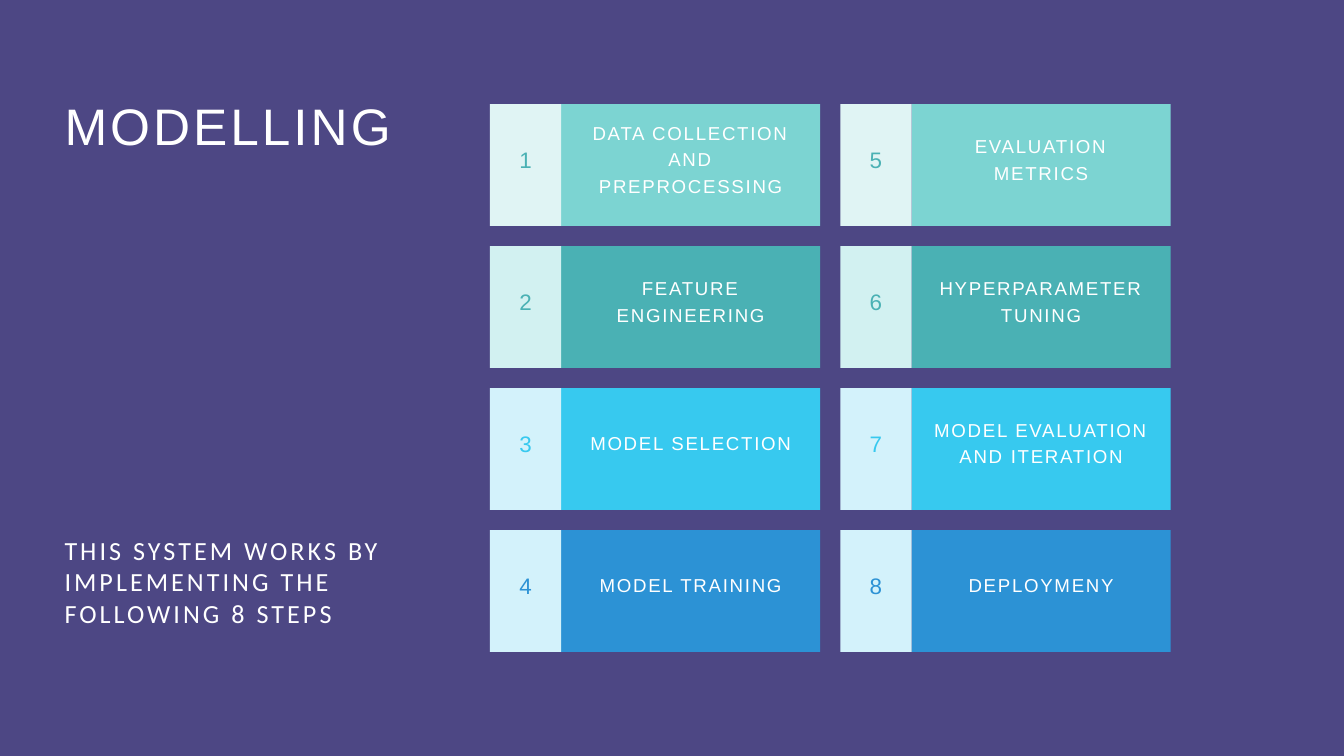
import pptx
import pptx.util
import pptx.dml.color
import pptx.enum.shapes
import pptx.enum.text
import pptx.oxml.ns
import lxml.etree

Inches = pptx.util.Inches
Pt = pptx.util.Pt
ALIGN = pptx.enum.text.PP_ALIGN
ANCHOR = pptx.enum.text.MSO_ANCHOR

STEPS = [
    "DATA COLLECTION AND PREPROCESSING",
    "FEATURE ENGINEERING",
    "MODEL SELECTION",
    "MODEL TRAINING",
    "EVALUATION METRICS",
    "HYPERPARAMETER TUNING",
    "MODEL EVALUATION AND ITERATION",
    "DEPLOYMENY",
]
ROW_COLORS = [
    {"label": "7CD4D2", "badge": "E0F4F4", "number": "4AB1B4"},
    {"label": "4AB1B4", "badge": "D2F1F1", "number": "4AB1B4"},
    {"label": "37C9EF", "badge": "D3F2FB", "number": "37C9EF"},
    {"label": "2C92D5", "badge": "D3F2FB", "number": "2C92D5"},
]


def set_color(fill, color):
    fill.solid()
    fill.fore_color.rgb = pptx.dml.color.RGBColor.from_string(color)


def write_text(shape, text, size, font="Arial", color="FFFFFF", tracking=0,
               line_spacing=1.0, align=ALIGN.LEFT, anchor=ANCHOR.TOP,
               insets=(0, 0, 0, 0)):
    frame = shape.text_frame
    frame.auto_size = pptx.enum.text.MSO_AUTO_SIZE.NONE
    frame.word_wrap = True
    frame.vertical_anchor = anchor
    (frame.margin_left, frame.margin_top,
     frame.margin_right, frame.margin_bottom) = [Inches(inset) for inset in insets]
    paragraph = frame.paragraphs[0]
    paragraph.alignment = align
    paragraph.line_spacing = line_spacing
    paragraph.space_before = Pt(0)
    run = paragraph.add_run()
    run.text = text
    run.font.name = font
    run.font.size = Pt(size)
    set_color(run.font.fill, color)
    if tracking:
        run.font._element.set("spc", str(round(tracking * 100)))
    return paragraph


def place(shape, left, top, width, height):
    shape.left, shape.top = Inches(left), Inches(top)
    shape.width, shape.height = Inches(width), Inches(height)


def remove_bullet(paragraph):
    properties = paragraph._p.get_or_add_pPr()
    properties.set("marL", "0")
    properties.set("indent", "0")
    lxml.etree.SubElement(properties, pptx.oxml.ns.qn("a:buNone"))


def add_introduction(slide, left, top, width, height):
    title, summary = slide.placeholders
    summary_height = 1.52
    place(title, left, top, width, 0.94)
    write_text(title, "MODELLING", size=55, tracking=3.3, line_spacing=Pt(67.6))
    place(summary, left, top + height - summary_height, width, summary_height)
    paragraph = write_text(
        summary, "THIS SYSTEM WORKS BY IMPLEMENTING THE FOLLOWING 8 STEPS",
        size=28, font="Calibri", tracking=3.3)
    remove_bullet(paragraph)


def add_panel(slide, left, top, width, height, color):
    panel = slide.shapes.add_shape(
        pptx.enum.shapes.MSO_SHAPE.RECTANGLE,
        Inches(left), Inches(top), Inches(width), Inches(height))
    panel.shadow.inherit = False
    panel.line.fill.background()
    set_color(panel.fill, color)
    return panel


def add_step(slide, left, top, width, height, number, text, colors):
    badge_width = 1.06
    label = add_panel(slide, left + badge_width, top, width - badge_width, height,
                      colors["label"])
    write_text(label, text, size=20, tracking=1.8, line_spacing=Pt(28),
               align=ALIGN.CENTER, anchor=ANCHOR.MIDDLE,
               insets=(0.28, 0.06, 0.28, 0.28))
    badge = add_panel(slide, left, top, badge_width, height, colors["badge"])
    write_text(badge, str(number), size=24, color=colors["number"],
               line_spacing=Pt(33.6), align=ALIGN.CENTER, anchor=ANCHOR.MIDDLE,
               insets=(0.06, 0, 0.06, 0.22))


def add_step_grid(slide, left, top, width, height):
    rows, columns, gap = len(ROW_COLORS), 2, 0.3
    step_width = (width - gap * (columns - 1)) / columns
    step_height = (height - gap * (rows - 1)) / rows
    for index, text in enumerate(STEPS):
        column, row = divmod(index, rows)
        add_step(slide, left + column * (step_width + gap),
                 top + row * (step_height + gap), step_width, step_height,
                 index + 1, text, ROW_COLORS[row])


def main():
    presentation = pptx.Presentation()
    presentation.slide_width = Inches(20)
    presentation.slide_height = Inches(11.25)
    slide = presentation.slides.add_slide(presentation.slide_layouts[1])
    set_color(slide.background.fill, "4D4784")
    add_introduction(slide, 0.96, 1.38, 5.82, 8.09)
    add_step_grid(slide, 7.29, 1.55, 10.13, 8.15)
    presentation.save("out.pptx")


if __name__ == "__main__":
    main()
